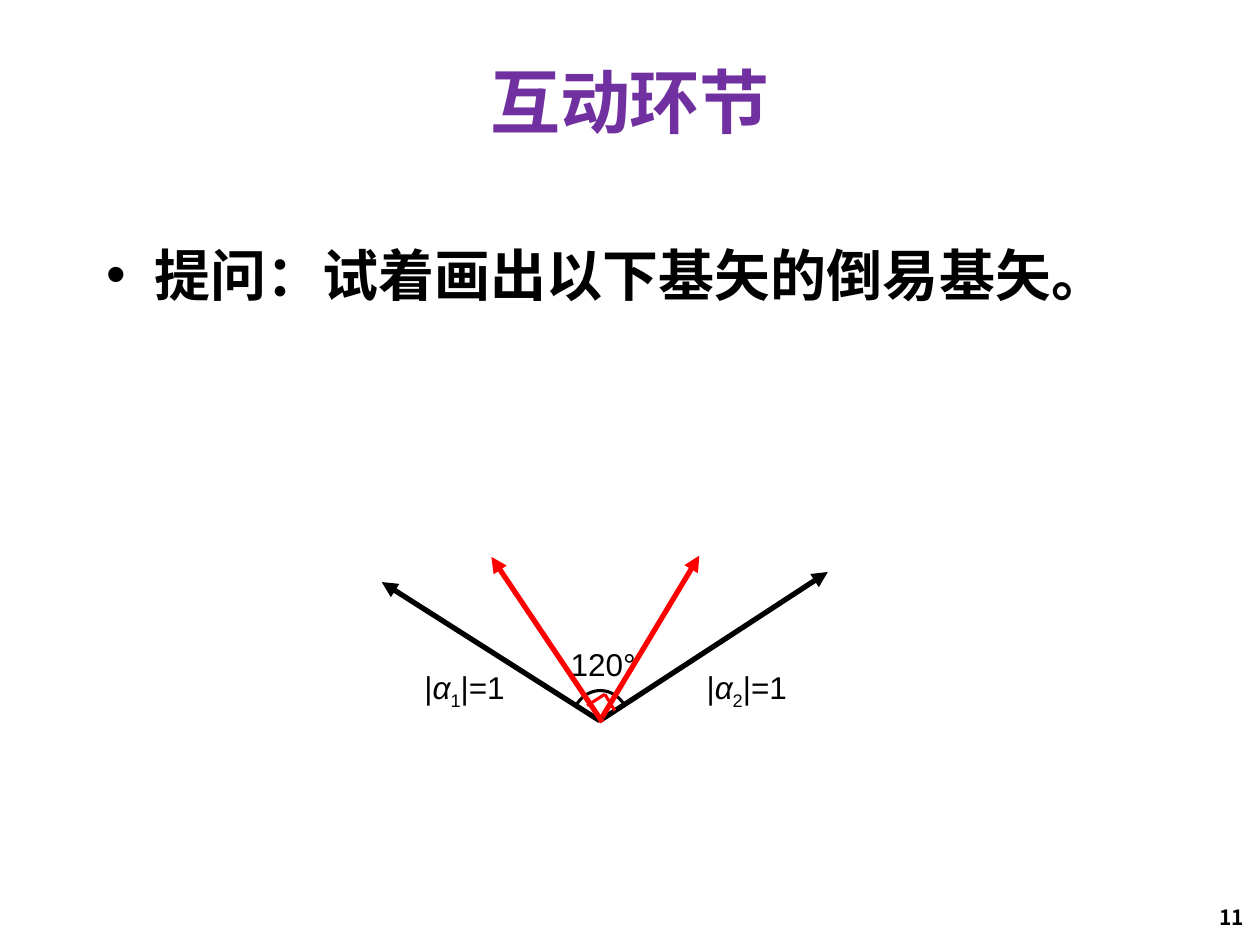
from dataclasses import dataclass

from lxml import etree
from pptx import Presentation
from pptx.dml.color import RGBColor
from pptx.enum.shapes import MSO_CONNECTOR, MSO_SHAPE
from pptx.enum.text import MSO_ANCHOR, PP_ALIGN
from pptx.oxml.ns import qn
from pptx.util import Inches, Pt

STRAIGHT = MSO_CONNECTOR.STRAIGHT
ARC = MSO_SHAPE.ARC
TOP, MIDDLE = MSO_ANCHOR.TOP, MSO_ANCHOR.MIDDLE
LEFT, CENTER, RIGHT = PP_ALIGN.LEFT, PP_ALIGN.CENTER, PP_ALIGN.RIGHT


@dataclass(frozen=True)
class Theme:
    purple: RGBColor = RGBColor(0x70, 0x30, 0xA0)
    black: RGBColor = RGBColor(0, 0, 0)
    red: RGBColor = RGBColor(0xFF, 0, 0)
    heading_font: str = "Times New Roman"
    chinese_font: str = "Noto Sans CJK SC"
    label_font: str = "Arial"
    title_size: int = 40
    body_size: int = 32
    label_size: int = 18
    number_size: int = 12
    vector_width: float = 3
    mark_width: float = 1.75


THEME = Theme()


def add_text(slide, box, text, size, font, color=THEME.black, bold=False,
             align=LEFT, anchor=TOP, wrap=True, bullet=None):
    """Add a one-paragraph text box; text may be split into runs later."""
    shape = slide.shapes.add_textbox(*map(Inches, box))
    frame = shape.text_frame
    frame.word_wrap = wrap
    frame.vertical_anchor = anchor
    paragraph = frame.paragraphs[0]
    paragraph.alignment = align
    if text:
        paragraph.add_run().text = text
    if bullet:
        properties = paragraph._p.get_or_add_pPr()
        properties.set("marL", str(Inches(0.38)))
        properties.set("indent", str(Inches(-0.38)))
        etree.SubElement(properties, qn("a:buFont"), typeface=THEME.label_font)
        etree.SubElement(properties, qn("a:buChar"), char=bullet)
    paragraph.font.name = font
    paragraph.font.size = Pt(size)
    paragraph.font.bold = bold
    paragraph.font.color.rgb = color
    defaults = paragraph._p.pPr.find(qn("a:defRPr"))
    etree.SubElement(defaults, qn("a:ea"), typeface=THEME.chinese_font)
    return paragraph


def add_label(slide, box, text=""):
    return add_text(slide, box, text, THEME.label_size, THEME.label_font, wrap=False)


def add_length_label(slide, left, index):
    """Label a basis vector as |α_index|=1."""
    paragraph = add_label(slide, (left, 5.25, 0.87, 0.4))
    paragraph.add_run().text = "|"
    symbol = paragraph.add_run()
    symbol.text = "α"
    symbol.font.italic = True
    subscript = paragraph.add_run()
    subscript.text = index
    subscript._r.get_or_add_rPr().set("baseline", "-25000")
    paragraph.add_run().text = "|=1"


def add_line(slide, start, end, color, width, arrow=False):
    connector = slide.shapes.add_connector(STRAIGHT, *map(Inches, start + end))
    connector.line.color.rgb = color
    connector.line.width = Pt(width)
    if arrow:
        etree.SubElement(connector.line._get_or_add_ln(), qn("a:tailEnd"), type="triangle")
    etree.SubElement(connector._element.spPr, qn("a:effectLst"))


def add_vector(slide, start, end, color):
    add_line(slide, start, end, color, THEME.vector_width, arrow=True)


def add_angle_arc(slide, box):
    arc = slide.shapes.add_shape(ARC, *map(Inches, box))
    arc.adjustments[0] = 185.2
    arc.adjustments[1] = 28.55
    arc.rotation = 270
    arc.shadow.inherit = False
    arc.fill.background()
    arc.line.color.rgb = THEME.black
    arc.line.width = Pt(THEME.mark_width)


def main():
    presentation = Presentation()
    presentation.slide_width, presentation.slide_height = Inches(10), Inches(7.5)
    slide = presentation.slides.add_slide(presentation.slide_layouts[6])

    # Title, question and page number
    add_text(slide, (0.75, 0.17, 8.5, 1.25), "互动环节", THEME.title_size,
             THEME.heading_font, THEME.purple, bold=True, align=CENTER, anchor=MIDDLE)
    add_text(slide, (0.75, 1.86, 8.5, 5.12), "提问：试着画出以下基矢的倒易基矢。",
             THEME.body_size, THEME.heading_font, bold=True, bullet="•")
    add_text(slide, (7.64, 7.08, 2.33, 0.4), "11", THEME.number_size,
             THEME.chinese_font, bold=True, align=RIGHT, anchor=MIDDLE)

    # Basis vectors with their angle and lengths
    origin = (4.76, 5.72)
    for tip in ((3.03, 4.62), (6.57, 4.54)):
        add_vector(slide, origin, tip, THEME.black)
    add_angle_arc(slide, (4.49, 5.52, 0.55, 0.47))
    add_label(slide, (4.43, 5.07, 0.9, 0.4), "120°")
    for left, index in ((3.27, "1"), (5.51, "2")):
        add_length_label(slide, left, index)

    # Reciprocal vectors with right-angle mark
    add_vector(slide, (4.78, 5.73), (3.9, 4.42), THEME.red)
    corner = (4.8, 5.51)
    for end in ((4.66, 5.6), (4.88, 5.64)):
        add_line(slide, corner, end, THEME.red, THEME.mark_width)
    add_vector(slide, (4.78, 5.69), (5.55, 4.41), THEME.red)

    presentation.save("out.pptx")


if __name__ == "__main__":
    main()
